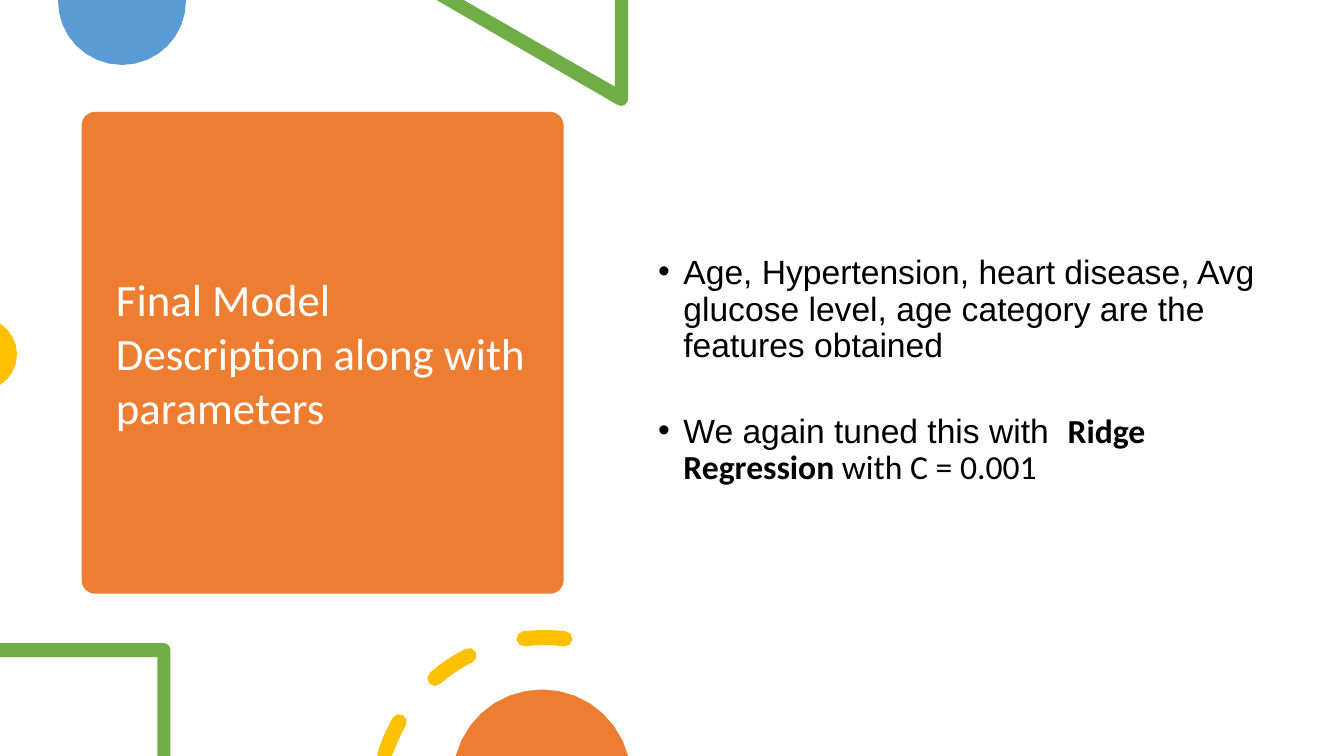
from dataclasses import dataclass
from math import cos, sin, radians

from lxml.etree import SubElement
from pptx import Presentation
from pptx.dml.color import RGBColor as RGB
from pptx.enum.shapes import MSO_SHAPE as Kind
from pptx.enum.text import MSO_ANCHOR as Anchor, MSO_AUTO_SIZE as Fit, PP_ALIGN as Align
from pptx.oxml.ns import qn
from pptx.util import Inches, Pt


@dataclass(frozen=True)
class Theme:
    blue: str = "5B9BD5"
    green: str = "70AD47"
    gold: str = "FFC000"
    orange: str = "ED7D31"
    white: str = "FFFFFF"
    black: str = "000000"
    head: int = 32
    body: int = 24
    lead: int = 26
    gap: float = 35.5


theme = Theme()
deck = Presentation()
deck.slide_width, deck.slide_height = Inches(13.33), Inches(7.5)

# The slide is a grid of 160 columns and 90 rows of square cells.
rows = 90
cell = deck.slide_height / rows

slide = deck.slides.add_slide(deck.slide_layouts[5])
shapes = slide.shapes


def write(para, text, font="Calibri", size=theme.body, color=theme.black, bold=False):
    run = para.add_run()
    run.text = text
    run.font.name, run.font.size, run.font.bold = font, Pt(size), bold
    run.font.color.rgb = RGB.from_string(color)


def arc(x, y, r, start, end, steps=4):
    """Return points along an arc, clockwise in degrees, kept within the grid."""
    turns = [radians(start + (end - start) * i / steps) for i in range(steps + 1)]
    return [(max(0, x + r * cos(t)), min(rows, max(0, y + r * sin(t)))) for t in turns]


# Title on its card
card = shapes.add_shape(Kind.ROUNDED_RECTANGLE,
                        *[int(n * cell) for n in (9.72, 13.32, 57.36, 57.36)])
card.adjustments[0] = 0.028
card.shadow.inherit = False
card.fill.solid()
card.fill.fore_color.rgb = RGB.from_string(theme.orange)
card.line.fill.background()
shapes._spTree.insert(2, card._element)

title = shapes.title
title.left, title.top, title.width, title.height = [
    int(n * cell) for n in (12.6, 14.64, 51.72, 54.72)]
frame = title.text_frame
frame.word_wrap, frame.auto_size = True, Fit.NONE
frame.vertical_anchor = Anchor.MIDDLE
frame.paragraphs[0].alignment = Align.LEFT
write(frame.paragraphs[0], "Final Model Description along with parameters",
      size=theme.head, color=theme.white)

# Round-ended dashes along one ring
hub, ring, half = (64.8, 95.82), 19.92, 0.9
dashes = []
for start, end in [(197, 209.8), (229.1, 243.2), (263, 277)]:
    first, *_, last = arc(*hub, ring, start, end)
    dashes.append(arc(*hub, ring + half, start, end)
                  + arc(*last, half, end, end + 180)[1:-1]
                  + arc(*hub, ring - half, end, start)
                  + arc(*first, half, start + 180, start + 360)[1:-1])

# Decorative outlines, in cells
tip = [(74.76, 0), (73.2, 0), (73.2, 10.32), (55.2, 0), (51.96, 0)]
bend = [(0, 76.56), (0, 78.24), (18.72, 78.24), (18.72, 90), (20.28, 90)]
forms = [
    (theme.blue, [arc(14.52, 0.12, 7.62, -1, 181, steps=16)]),
    (theme.green, [tip + arc(73.92, 11.76, 0.84, 120, 0)]),
    (theme.gold, [arc(-2.28, 42.18, 4.31, -58.2, 58.2, steps=8)]),
    (theme.green, [bend + arc(19.44, 77.4, 0.84, 0, -90)]),
    (theme.gold, dashes),
    (theme.orange, [arc(64.5, 92.69, 10.61, 194.7, 345.3, steps=14)]),
]
for color, loops in forms:
    pen = None
    for loop in loops:
        spots = [(int(x * cell), int(y * cell)) for x, y in loop]
        if pen:
            pen.move_to(*spots[0])
        else:
            pen = shapes.build_freeform(*spots[0])
        pen.add_line_segments(spots[1:], close=True)
    form = pen.convert_to_shape()
    form.shadow.inherit = False
    form.fill.solid()
    form.fill.fore_color.rgb = RGB.from_string(color)
    form.line.fill.background()

# Bullets
box = shapes.add_textbox(*[int(n * cell) for n in (71.16, 3.6, 83.88, 68.28)])
frame = box.text_frame
frame.word_wrap, frame.auto_size = True, Fit.NONE
frame.margin_top = int(26.76 * cell)
points = [
    [("Age, Hypertension, heart disease, Avg glucose level, age category "
      "are the features obtained", "Arial", False)],
    [("We again tuned this with  ", "Arial", False),
     ("Ridge Regression", "Calibri", True),
     (" with C = 0.001", "Calibri", False)],
]
for i, parts in enumerate(points):
    para = frame.add_paragraph() if i else frame.paragraphs[0]
    para.line_spacing = Pt(theme.lead)
    para.space_before = Pt(theme.gap * i)
    props = para._p.get_or_add_pPr()
    props.set("marL", str(int(9 * cell)))
    props.set("indent", str(int(-3 * cell)))
    SubElement(props, qn("a:buFont")).set("typeface", "Arial")
    SubElement(props, qn("a:buChar")).set("char", "•")
    for text, font, bold in parts:
        write(para, text, font=font, bold=bold)

deck.save("out.pptx")
